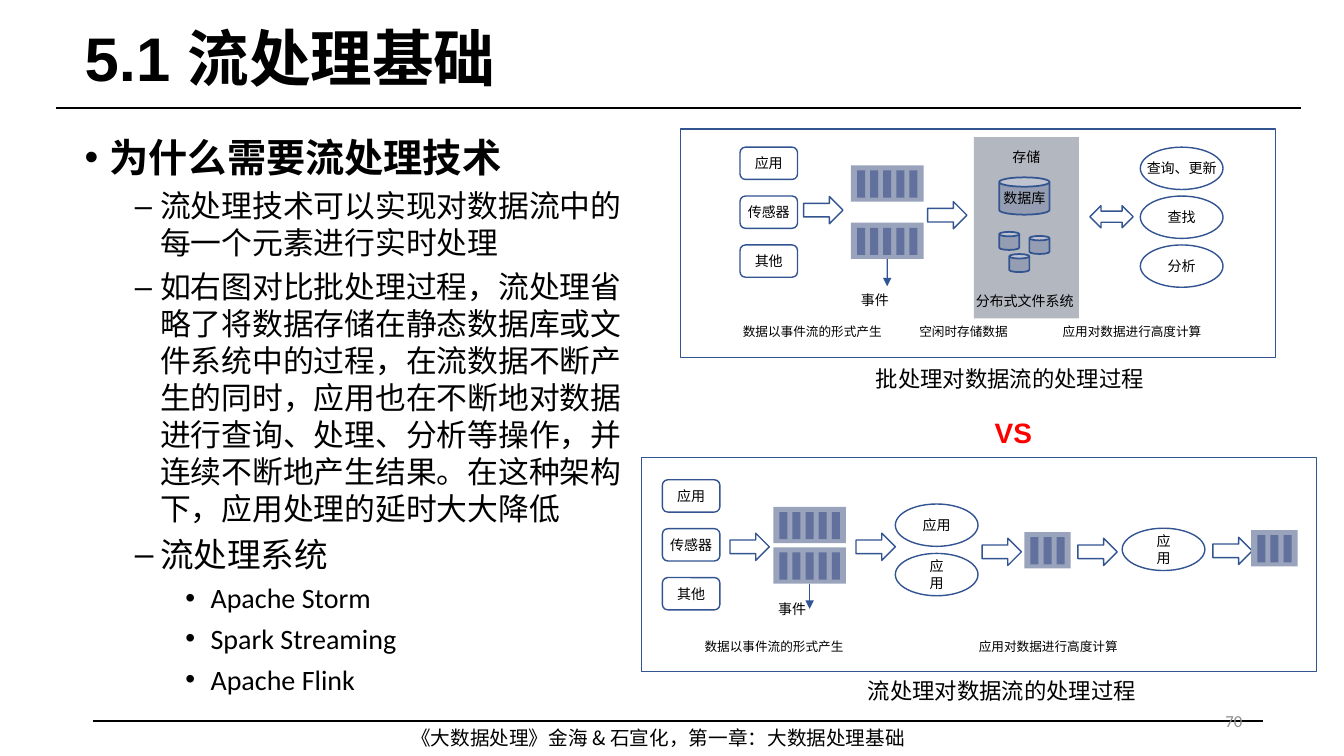
"""Build the slide comparing batch processing with stream processing."""
from pptx import Presentation
from pptx.dml.color import RGBColor
from pptx.enum.shapes import MSO_CONNECTOR, MSO_SHAPE
from pptx.enum.text import MSO_ANCHOR, PP_ALIGN
from pptx.oxml.ns import qn
from pptx.util import Inches, Pt

RECT, ROUND, OVAL = MSO_SHAPE.RECTANGLE, MSO_SHAPE.ROUNDED_RECTANGLE, MSO_SHAPE.OVAL
RIGHT, BOTH, CAN = MSO_SHAPE.RIGHT_ARROW, MSO_SHAPE.LEFT_RIGHT_ARROW, MSO_SHAPE.CAN
STRAIGHT = MSO_CONNECTOR.STRAIGHT
TOP, MIDDLE = MSO_ANCHOR.TOP, MSO_ANCHOR.MIDDLE
LEFT, CENTER, END = PP_ALIGN.LEFT, PP_ALIGN.CENTER, PP_ALIGN.RIGHT
CJK = "Noto Sans CJK SC"
BLACK, OUTLINE, ARROW = "000000", "325491", "2F5597"
STORE, CYLINDER, QUEUE, BAR = "B3B7C0", "959DB2", "99A4BC", "61709C"

TITLE = "5.1 流处理基础"
BODY = [
    (0, 28, "为什么需要流处理技术"),
    (1, 22, "流处理技术可以实现对数据流中的每一个元素进行实时处理"),
    (1, 22, "如右图对比批处理过程，流处理省略了将数据存储在静态数据库或文件系统中的过程，"
            "在流数据不断产生的同时，应用也在不断地对数据进行查询、处理、分析等操作，"
            "并连续不断地产生结果。在这种架构下，应用处理的延时大大降低"),
    (1, 24, "流处理系统"),
    (2, 20, "Apache Storm"),
    (2, 20, "Spark Streaming"),
    (2, 20, "Apache Flink"),
]
BULLETS = "•–•"
SOURCES = ["应用", "传感器", "其他"]
QUERIES = ["查询、更新", "查找", "分析"]
SOURCE_STACKS = [(7.34, 1.46), (6.57, 4.76)]
STACK_STEP = 0.485
FRAMES = [(6.75, 1.28, 5.9, 2.27), (6.36, 4.54, 6.7, 2.12)]
RULES = [(0.56, 1.07, 12.9, 1.75), (0.92, 7.15, 12.53, 1.25)]
FLOW_ARROWS = [(7.97, 1.95), (9.2, 2), (7.24, 5.29), (8.49, 5.29),
               (9.74, 5.34), (10.69, 5.34), (12.03, 5.33)]
QUEUES = [(8.44, 1.64, 5), (8.44, 2.21, 5), (7.67, 5.03, 5), (7.67, 5.43, 5),
          (10.16, 5.28, 3), (12.41, 5.26, 3)]
EVENT_QUEUES = {1: 2.84, 3: 6.04}
FILE_CYLINDERS = [(9.91, 2.3), (10.01, 2.52), (10.21, 2.34)]
CAPTIONS = [
    ("《大数据处理》金海 & 石宣化，第一章：大数据处理基础", 3.98, 7.15, 5.37, 0.34, 14, CJK),
    ("批处理对数据流的处理过程", 8.59, 3.57, 2.93, 0.37, 16, "Arial"),
    ("流处理对数据流的处理过程", 8.51, 6.67, 2.93, 0.37, 16, "Arial"),
    ("事件", 8.44, 2.84, 0.63, 0.27, 10, CJK),
    ("事件", 7.62, 5.91, 0.63, 0.27, 10, CJK),
    ("分布式文件系统", 9.58, 2.85, 1.23, 0.27, 10, CJK),
    ("数据以事件流的形式产生", 7.27, 3.16, 1.7, 0.25, 9, CJK),
    ("空闲时存储数据", 9.02, 3.16, 1.31, 0.25, 9, CJK),
    ("应用对数据进行高度计算", 10.44, 3.16, 2.55, 0.25, 9, CJK),
    ("数据以事件流的形式产生", 6.89, 6.29, 1.7, 0.25, 9, CJK),
    ("应用对数据进行高度计算", 9.61, 6.29, 2.55, 0.25, 9, CJK),
]


def rgb(color):
    return RGBColor.from_string(color)


def style(paragraph, size, font="Calibri", color=BLACK, bold=False, align=LEFT):
    paragraph.alignment = align
    for run in paragraph.runs:
        run.font.size, run.font.bold, run.font.name = Pt(size), bold, font
        run.font.color.rgb = rgb(color)
        latin = run.font._element.find(qn("a:latin"))
        east_asian = latin.makeelement(qn("a:ea"), {"typeface": font})
        latin.addnext(east_asian)


def add_text(text, x, y, w, h, size, font="Calibri", **look):
    box = slide.shapes.add_textbox(Inches(x), Inches(y), Inches(w), Inches(h))
    box.text_frame.word_wrap = True
    box.text_frame.text = text
    style(box.text_frame.paragraphs[0], size, font, **look)
    return box


def add_node(kind, x, y, w, h, text="", fill=None, line=OUTLINE, weight=1,
             anchor=MIDDLE, top=0, side=0, shapes=None):
    node = (shapes or slide.shapes).add_shape(kind, Inches(x), Inches(y), Inches(w), Inches(h))
    node.shadow.inherit = False
    if fill:
        node.fill.solid()
        node.fill.fore_color.rgb = rgb(fill)
    else:
        node.fill.background()
    if line:
        node.line.color.rgb, node.line.width = rgb(line), Pt(weight)
    else:
        node.line.fill.background()
    if text:
        frame = node.text_frame
        frame.text, frame.word_wrap, frame.vertical_anchor = text, side > 0, anchor
        frame.margin_left = frame.margin_right = Inches(side)
        frame.margin_top, frame.margin_bottom = Inches(top), 0
        style(frame.paragraphs[0], 10, align=CENTER)
    return node


def add_line(x1, y1, x2, y2, color, weight):
    line = slide.shapes.add_connector(STRAIGHT, Inches(x1), Inches(y1), Inches(x2), Inches(y2))
    line.line.color.rgb, line.line.width = rgb(color), Pt(weight)
    properties = line._element.spPr
    properties.append(properties.makeelement(qn("a:effectLst"), {}))
    return line


def add_queue(x, y, bars):
    group = slide.shapes.add_group_shape()
    back = add_node(RECT, x, y, bars * 0.13 + 0.07, 0.36, fill=QUEUE, line=None, shapes=group.shapes)
    for i in range(bars):
        add_node(RECT, x + 0.06 + i * 0.13, y + 0.05, 0.08, 0.27, fill=BAR, line=None,
                 shapes=group.shapes)
    return back


def add_body():
    box = slide.shapes.add_textbox(Inches(0.74), Inches(1.27), Inches(5.66), Inches(5.9))
    frame = box.text_frame
    frame.word_wrap = True
    frame.text = "\n".join(text for _, _, text in BODY)
    for i, (paragraph, (level, size, _)) in enumerate(zip(frame.paragraphs, BODY)):
        paragraph.level = level
        paragraph.space_before = Pt(5 if i else 0)
        properties = paragraph._p.get_or_add_pPr()
        properties.set("marL", str(Inches(0.25 + 0.5 * level)))
        properties.set("indent", str(Inches(-0.25)))
        for tag, key, value in (("a:buFont", "typeface", "Arial"), ("a:buChar", "char", BULLETS[level])):
            properties.append(properties.makeelement(qn(tag), {key: value}))
        style(paragraph, size, bold=level == 0)


deck = Presentation()
deck.slide_width, deck.slide_height = Inches(13.33), Inches(7.5)
slide = deck.slides.add_slide(deck.slide_layouts[5])

title = slide.shapes.title
title.left, title.top, title.width, title.height = Inches(0.74), Inches(0.15), Inches(11.95), Inches(0.92)
title.text_frame.text = TITLE
title.text_frame.vertical_anchor = MIDDLE
title.text_frame.paragraphs[0].line_spacing = 0.9
style(title.text_frame.paragraphs[0], 44, "Arial", bold=True)

for x1, y, x2, weight in RULES:
    add_line(x1, y, x2, y, BLACK, weight)
add_body()

for frame_box in FRAMES:
    add_node(RECT, *frame_box)
add_node(RECT, 9.66, 1.36, 1.04, 1.8, "存储", fill=STORE, line=None, anchor=TOP, top=0.11)
add_node(CAN, 9.91, 1.76, 0.5, 0.37, "数据库", fill=CYLINDER, weight=1.25)
for x, y in FILE_CYLINDERS:
    add_node(CAN, x, y, 0.2, 0.18, fill=CYLINDER, weight=1.25)

for x, y in SOURCE_STACKS:
    for i, source in enumerate(SOURCES):
        add_node(ROUND, x, y + i * STACK_STEP, 0.57, 0.32, source)
for i, query in enumerate(QUERIES):
    add_node(OVAL, 11.31, 1.46 + i * STACK_STEP, 0.82, 0.42, query)
for x, y, side in [(8.88, 5, 0), (8.88, 5.49, 0.2), (11.13, 5.24, 0.2)]:
    add_node(OVAL, x, y, 0.82, 0.42, "应用", side=side)

for x, y in FLOW_ARROWS:
    add_node(RIGHT, x, y, 0.39, 0.27)
add_node(BOTH, 10.81, 2.04, 0.43, 0.22)

for i, (x, y, bars) in enumerate(QUEUES):
    queue = add_queue(x, y, bars)
    if i in EVENT_QUEUES:
        event = add_line(x + 0.36, y + 0.36, x + 0.36, EVENT_QUEUES[i], ARROW, 1)
        event.begin_connect(queue, 2)
        stroke = event.line._get_or_add_ln()
        stroke.append(stroke.makeelement(qn("a:tailEnd"), {"type": "triangle"}))

for caption in CAPTIONS:
    add_text(*caption)
add_text("VS", 9.7, 4.07, 0.7, 0.44, 20, "Arial", color="FF0000", bold=True, align=CENTER)
page = add_text("70", 9.42, 6.95, 3, 0.4, 12, color="8C8C8C", align=END)
page.text_frame.vertical_anchor = MIDDLE

deck.save("out.pptx")
